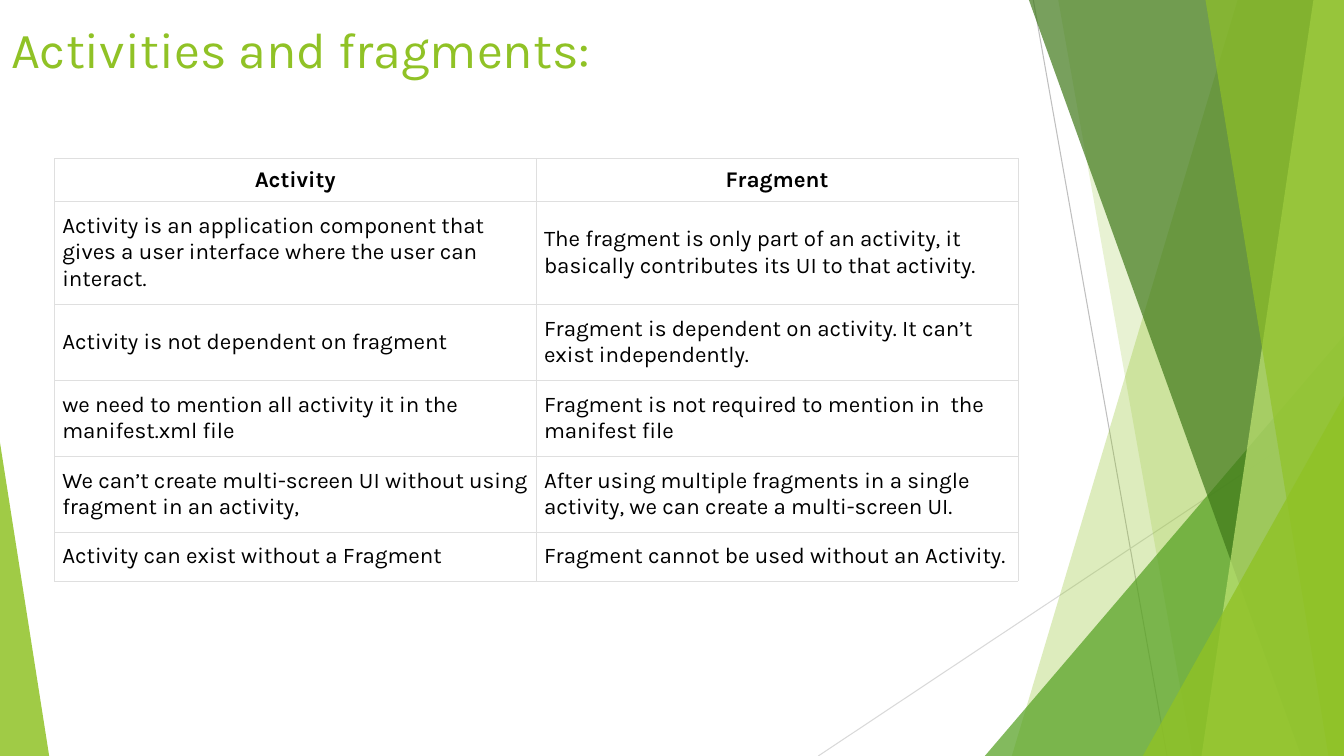
import pptx
import pptx.util
import pptx.dml.color
import pptx.enum.shapes
import pptx.enum.text
import pptx.oxml
import pptx.oxml.ns
from pptx.util import Cm, Pt

TITLE = "Activities and fragments:"
ROWS = [
    ("Activity", "Fragment"),
    ("Activity is an application component that gives a user interface where the user can interact.",
     "The fragment is only part of an activity, it basically contributes its UI to that activity."),
    ("Activity is not dependent on fragment",
     "Fragment is dependent on activity. It can’t exist independently."),
    ("we need to mention all activity it in the manifest.xml file",
     "Fragment is not required to mention in  the manifest file"),
    ("We can’t create multi-screen UI without using fragment in an activity,",
     "After using multiple fragments in a single activity, we can create a multi-screen UI."),
    ("Activity can exist without a Fragment",
     "Fragment cannot be used without an Activity."),
]
THEME = {
    "font": "Karla", "title": 36, "body": 16, "hair": 0.75, "rule": 0.23,
    "lime": "90C226", "leaf": "54A021", "moss": "3F7819", "pale": "C0E474",
    "ink": "000000", "paper": "FFFFFF", "grid": "DFDFDF",
    "steel": "BFBFBF", "mist": "D9D9D9",
}
WIDE, HIGH = 33.87, 19.05
LINES = [((26.04, 0), (29.41, HIGH), "steel"), ((WIDE, 10.24), (20.62, HIGH), "mist")]
PANES = [
    ("band", (31.19, 25.5), "lime", 30),
    ("band", (26.67, 30.05), "lime", 20),
    ("wedge", (24.82, 8.46, WIDE, 1), "leaf", 72),
    ("band", (25.93, 32.79), "moss", 70),
    ("band", (33.1, 30.28), "pale", 70),
    ("band", (30.38, 33.48), "lime", 65),
    ("wedge", (28.8, 9.98, WIDE, 1), "lime", 80),
    ("wedge", (0, 11.15, 1.24, 0), "lime", 85),
]
TALL = [1.07, 2.54, 1.88, 1.88, 1.88, 1.22]
COL = 12.14


def tint(name):
    return pptx.dml.color.RGBColor.from_string(THEME[name])


def style(para, size, color, bold=False):
    font = para.font
    font.name = THEME["font"]
    font.size = Pt(THEME[size])
    font.color.rgb = tint(color)
    font.bold = bold


def draw_line(slide, start, end, color):
    line = slide.shapes.add_connector(
        pptx.enum.shapes.MSO_CONNECTOR.STRAIGHT, *map(Cm, start + end))
    line.line.color.rgb = tint(color)
    line.line.width = Pt(THEME["hair"])
    pptx.oxml.ns.qn("a:effectLst")
    line.element.spPr.append(pptx.oxml.parse_xml(
        f'<a:effectLst {pptx.oxml.ns.nsdecls("a")}/>'))


def draw_pane(slide, kind, place, color, alpha):
    if kind == "band":
        top, base = place
        pen = slide.shapes.build_freeform(Cm(top), 0)
        pen.add_line_segments(
            [(Cm(WIDE), 0), (Cm(WIDE), Cm(HIGH)), (Cm(base), Cm(HIGH))], close=True)
        pane = pen.convert_to_shape()
    else:
        left, top, right, tip = place
        pane = slide.shapes.add_shape(
            pptx.enum.shapes.MSO_SHAPE.ISOSCELES_TRIANGLE,
            Cm(left), Cm(top), Cm(right - left), Cm(HIGH - top))
        pane.adjustments[0] = tip
    pane.shadow.inherit = False
    pane.line.fill.background()
    pane.fill.solid()
    pane.fill.fore_color.rgb = tint(color)
    paint = next(pane.element.spPr.iter(pptx.oxml.ns.qn("a:srgbClr")))
    paint.append(pptx.oxml.parse_xml(
        f'<a:alpha {pptx.oxml.ns.nsdecls("a")} val="{alpha * 1000}"/>'))


def draw_title(slide):
    box = slide.shapes.add_textbox(Cm(0.03), Cm(0.33), Cm(23.88), Cm(3.66))
    box.text_frame.word_wrap = True
    para = box.text_frame.paragraphs[0]
    para.text = TITLE
    style(para, "title", "lime")


def fill_cell(cell, text, head, first):
    cell.text = text
    para = cell.text_frame.paragraphs[0]
    style(para, "body", "ink", head)
    if head:
        para.alignment = pptx.enum.text.PP_ALIGN.CENTER
    cell.vertical_anchor = pptx.enum.text.MSO_ANCHOR.MIDDLE
    cell.margin_left = cell.margin_right = Cm(0.08 if head and first else 0.2)
    cell.margin_top = cell.margin_bottom = Cm(0.2 if head else 0.28)
    cell.fill.solid()
    cell.fill.fore_color.rgb = tint("paper")
    props = cell._tc.get_or_add_tcPr()
    for spot, side in enumerate("LRTB"):
        props.insert(spot, pptx.oxml.parse_xml(
            f'<a:ln{side} {pptx.oxml.ns.nsdecls("a")} w="{Pt(THEME["rule"])}">'
            f'<a:solidFill><a:srgbClr val="{THEME["grid"]}"/></a:solidFill></a:ln{side}>'))


def draw_table(slide):
    table = slide.shapes.add_table(
        len(ROWS), 2, Cm(1.37), Cm(3.99), Cm(2 * COL), Cm(sum(TALL))).table
    table.first_row = table.horz_banding = False
    for col in table.columns:
        col.width = Cm(COL)
    for r, texts in enumerate(ROWS):
        table.rows[r].height = Cm(TALL[r])
        for c, text in enumerate(texts):
            fill_cell(table.cell(r, c), text, r == 0, c == 0)


def main():
    deck = pptx.Presentation()
    deck.slide_width, deck.slide_height = Cm(WIDE), Cm(HIGH)
    slide = deck.slides.add_slide(deck.slide_layouts[6])
    for line in LINES:
        draw_line(slide, *line)
    for pane in PANES:
        draw_pane(slide, *pane)
    draw_title(slide)
    draw_table(slide)
    deck.save("out.pptx")


if __name__ == "__main__":
    main()
